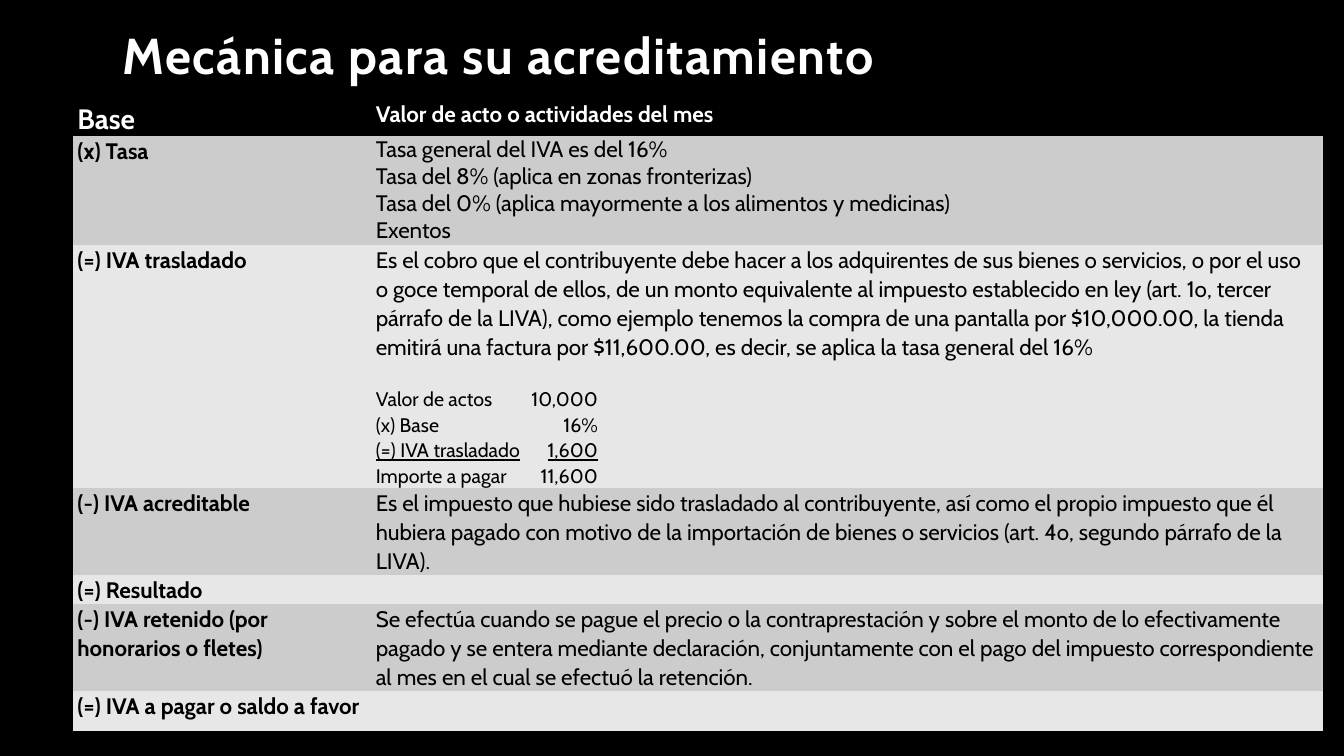
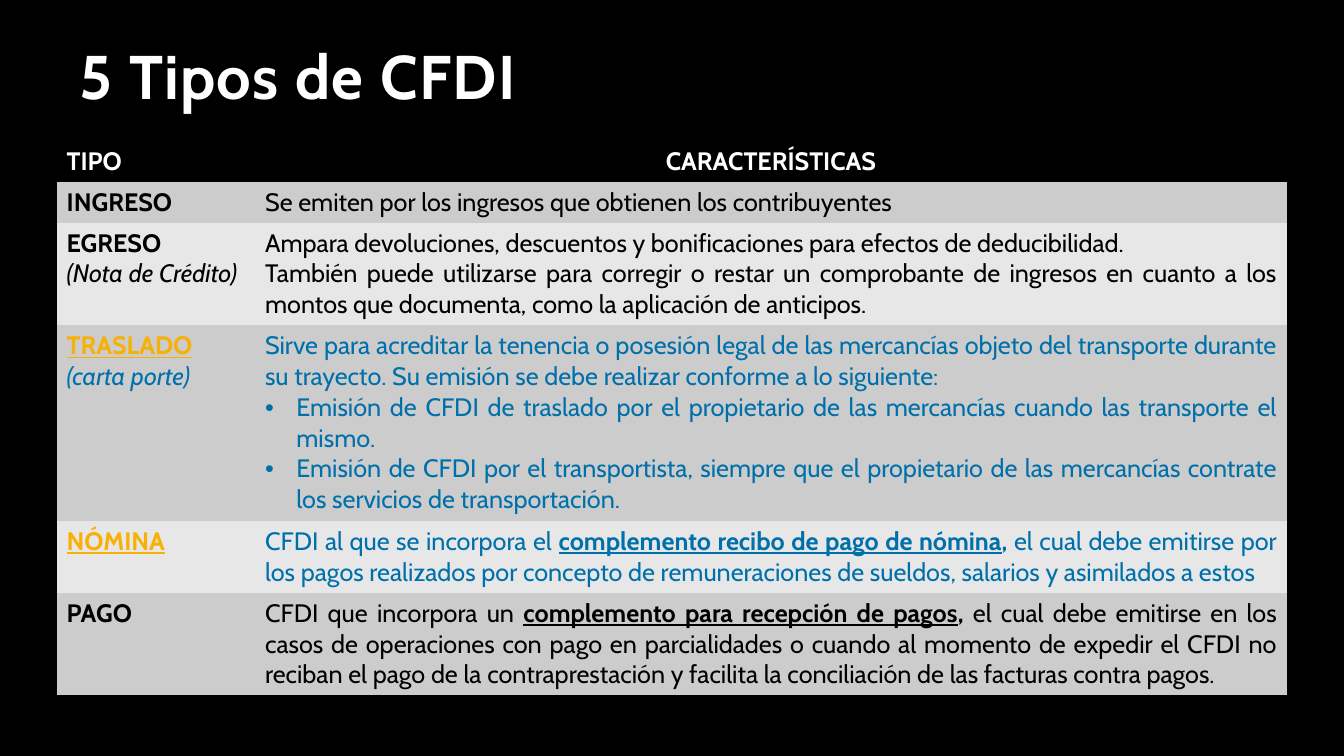
import pptx
import pptx.util
import pptx.dml.color
import pptx.enum.text
import pptx.oxml.ns
import lxml.etree

Cm = pptx.util.Cm
Pt = pptx.util.Pt
RGBColor = pptx.dml.color.RGBColor
ALIGN = pptx.enum.text.PP_ALIGN
qn = pptx.oxml.ns.qn

BLACK = RGBColor(0x00, 0x00, 0x00)
WHITE = RGBColor(0xFF, 0xFF, 0xFF)
DARK_BAND = RGBColor(0xCC, 0xCC, 0xCC)
LIGHT_BAND = RGBColor(0xE7, 0xE7, 0xE7)
AMBER = RGBColor(0xF8, 0xB0, 0x04)
BLUE = RGBColor(0x00, 0x70, 0xAB)

FONT = "Cabin"
PLAIN_TABLE = "{2D5ABB26-0587-4C30-8999-92F81FD0307C}"
STRONG = {"bold": True, "underline": True}


def add_text(frame, text, first=False, size=16, color=BLACK, bold=False, italic=False,
             underline=False, align=ALIGN.LEFT, line=1.0, before=0, bullet=None,
             tab=None, tracking=None):
    """Add one paragraph; text is a string or a list of (string, format) spans."""
    para = frame.paragraphs[0] if first else frame.add_paragraph()
    para.alignment = align
    para.line_spacing = line
    para.space_before = Pt(before)
    properties = para._p.get_or_add_pPr()
    if bullet:
        properties.set("marL", str(Cm(0.79)))
        properties.set("indent", str(-Cm(0.79)))
        lxml.etree.SubElement(properties, qn("a:buFont"), typeface="Arial")
        lxml.etree.SubElement(properties, qn("a:buChar"), char=bullet)
    if tab:
        tabs = lxml.etree.SubElement(properties, qn("a:tabLst"))
        lxml.etree.SubElement(tabs, qn("a:tab"), pos=str(tab), algn="r")
    for words, changes in ([(text, {})] if isinstance(text, str) else text):
        look = {"bold": bold, "italic": italic, "underline": underline, **changes}
        span = para.add_run()
        span.text = words
        span.font.name = FONT
        span.font.size = Pt(size)
        span.font.color.rgb = color
        for name, value in look.items():
            setattr(span.font, name, value)
        if tracking:
            span._r.get_or_add_rPr().set("spc", str(tracking))
    if not text:
        lxml.etree.SubElement(para._p, qn("a:endParaRPr"), sz=str(size * 100))


def add_title(page, text, box, size):
    title = page.shapes.title
    title.left, title.top, title.width, title.height = box
    frame = title.text_frame
    frame.word_wrap = True
    frame.auto_size = pptx.enum.text.MSO_AUTO_SIZE.NONE
    frame.vertical_anchor = pptx.enum.text.MSO_ANCHOR.BOTTOM
    add_text(frame, text, first=True, size=size, color=WHITE, bold=True, line=0.9,
             tracking=100)


def add_banded_table(page, rows, left, top, widths, heights, margins, **base):
    """Each cell is a list of (text, format) paragraphs; base is their common format."""
    frame = page.shapes.add_table(len(rows), len(widths), left, top,
                                  sum(widths), sum(heights))
    table = frame.table
    table._tbl.tblPr.find(qn("a:tableStyleId")).text = PLAIN_TABLE
    for column, width in zip(table.columns, widths):
        column.width = width
    for index, (row, height) in enumerate(zip(rows, heights)):
        table.rows[index].height = height
        fill = BLACK if index == 0 else DARK_BAND if index % 2 else LIGHT_BAND
        for column, paras in enumerate(row):
            cell = table.cell(index, column)
            cell.fill.solid()
            cell.fill.fore_color.rgb = fill
            cell.margin_left = cell.margin_right = margins[0]
            cell.margin_top = cell.margin_bottom = margins[1]
            for number, (text, look) in enumerate(paras):
                header = {"color": WHITE, "bold": True} if index == 0 else {}
                add_text(cell.text_frame, text, first=number == 0,
                         **{**base, **header, **look})


def new_page(deck):
    return deck.slides.add_slide(deck.slide_layouts[5])


def label(text):
    return [(text, {"bold": True})]


def body(text, **look):
    return [(text, look)]


def build_crediting(deck):
    page = new_page(deck)
    add_title(page, "Mecánica para su acreditamiento",
              (Cm(2.84), Cm(0.33), Cm(25.4), Cm(1.96)), 36)

    rates = ["Tasa general del IVA es del 16%",
             "Tasa del 8% (aplica en zonas fronterizas)",
             "Tasa del 0% (aplica mayormente a los alimentos y medicinas)",
             "Exentos"]
    # Worked example: amounts line up on a right tab
    sums = [("Valor de actos\t10,000", {"before": 18}),
            ("(x) Base\t16%", {}),
            ("(=) IVA trasladado\t1,600", {"underline": True}),
            ("Importe a pagar\t11,600", {})]
    example = [(text, {"size": 14, "tab": Cm(5.6), **look}) for text, look in sums]
    rows = [
        (body("Base", size=20), body("Valor de acto o actividades del mes")),
        (label("(x) Tasa"), [(rate, {"line": 1.0}) for rate in rates]),
        (label("(=) IVA trasladado"),
         body("Es el cobro que el contribuyente debe hacer a los adquirentes de sus bienes "
              "o servicios, o por el uso o goce temporal de ellos, de un monto equivalente "
              "al impuesto establecido en ley (art. 1o, tercer párrafo de la LIVA), como "
              "ejemplo tenemos la compra de una pantalla por $10,000.00, la tienda emitirá "
              "una factura por $11,600.00, es decir, se aplica la tasa general del 16%")
         + example),
        (label("(-) IVA acreditable"),
         body("Es el impuesto que hubiese sido trasladado al contribuyente, así como el "
              "propio impuesto que él hubiera pagado con motivo de la importación de bienes "
              "o servicios (art. 4o, segundo párrafo de la LIVA).")),
        (label("(=) Resultado"), body("")),
        (label("(-) IVA retenido (por honorarios o fletes)"),
         body("Se efectúa cuando se pague el precio o la contraprestación y sobre el monto "
              "de lo efectivamente pagado y se entera mediante declaración, conjuntamente "
              "con el pago del impuesto correspondiente al mes en el cual se efectuó la "
              "retención.")),
        (label("(=) IVA a pagar o saldo a favor"), body("")),
    ]
    heights = [Cm(h) for h in (0.91, 2.75, 6.12, 2.19, 0.73, 2.19, 1.0)]
    add_banded_table(page, rows, Cm(1.83), Cm(2.51), [Cm(7.52), Cm(24)], heights,
                     (Cm(0.12), 0), size=16, line=1.07)


def build_receipt_types(deck):
    page = new_page(deck)
    add_title(page, "5 Tipos de CFDI", (Cm(1.75), Cm(0.33), Cm(25.4), Cm(2.64)), 44)

    justified = {"align": ALIGN.JUSTIFY}
    blue = {**justified, "color": BLUE}
    bulleted = {**blue, "bullet": "•"}
    linked = {**STRONG, "color": AMBER}
    rows = [
        (body("TIPO"), body("CARACTERÍSTICAS", align=ALIGN.CENTER)),
        (label("INGRESO"),
         body("Se emiten por los ingresos que obtienen los contribuyentes")),
        (label("EGRESO") + body("(Nota de Crédito)", italic=True),
         [("Ampara devoluciones, descuentos y bonificaciones para efectos de "
           "deducibilidad.", justified),
          ("También puede utilizarse para corregir o restar un comprobante de ingresos en "
           "cuanto a los montos que documenta, como la aplicación de anticipos.",
           justified)]),
        (body("TRASLADO", **linked) + body("(carta porte)", italic=True, color=BLUE),
         [("Sirve para acreditar la tenencia o posesión legal de las mercancías objeto del "
           "transporte durante su trayecto. Su emisión se debe realizar conforme a lo "
           "siguiente:", blue),
          ("Emisión de CFDI de traslado por el propietario de las mercancías cuando las "
           "transporte el mismo.", bulleted),
          ("Emisión de CFDI por el transportista, siempre que el propietario de las "
           "mercancías contrate los servicios de transportación.", bulleted)]),
        (body("NÓMINA", **linked),
         body([("CFDI al que se incorpora el ", {}),
               ("complemento recibo de pago de nómina", STRONG),
               (", ", {"bold": True}),
               ("el cual debe emitirse por los pagos realizados por concepto de "
                "remuneraciones de sueldos, salarios y asimilados a estos", {})], **blue)),
        (label("PAGO"),
         body([("CFDI que incorpora un ", {}),
               ("complemento para recepción de pagos", STRONG),
               (", ", {"bold": True}),
               ("el cual debe emitirse en los casos de operaciones con pago en "
                "parcialidades o cuando al momento de expedir el CFDI no reciban el pago de "
                "la contraprestación y facilita la conciliación de las facturas contra "
                "pagos.", {})], **justified)),
    ]
    heights = [Cm(h) for h in (1.03, 1.03, 2.58, 4.93, 1.8, 2.58)]
    add_banded_table(page, rows, Cm(1.43), Cm(3.54), [Cm(5), Cm(26)], heights,
                     (Cm(0.25), Cm(0.13)), size=18)


def main():
    deck = pptx.Presentation()
    deck.slide_width, deck.slide_height = Cm(33.87), Cm(19.05)
    # Shared black background
    background = deck.slide_master.background.fill
    background.solid()
    background.fore_color.rgb = BLACK
    build_crediting(deck)
    build_receipt_types(deck)
    deck.save("out.pptx")


if __name__ == "__main__":
    main()
